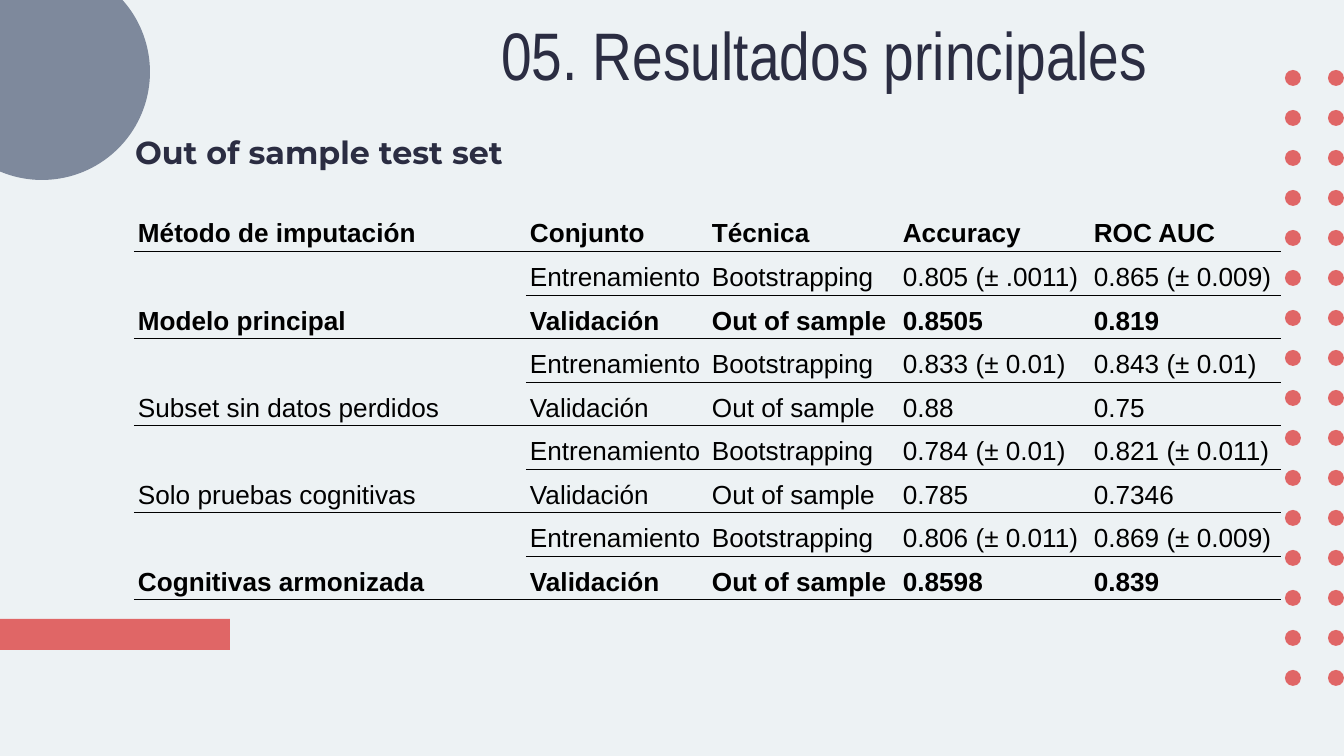
from lxml.etree import SubElement
from pptx import Presentation
from pptx.dml.color import RGBColor
from pptx.enum.shapes import MSO_SHAPE
from pptx.enum.text import MSO_ANCHOR
from pptx.oxml.ns import qn
from pptx.util import Pt

SCALE = 914400 / 134.4
PAPER = RGBColor(0xED, 0xF2, 0xF4)
CORAL = RGBColor(0xE0, 0x66, 0x66)
SLATE = RGBColor(0x7E, 0x89, 0x9C)
NAVY = RGBColor(0x2B, 0x2D, 0x42)
BLACK = RGBColor(0, 0, 0)

TITLE = "05. Resultados principales"
SUBTITLE = "Out of sample test set"
HEADERS = ["Método de imputación", "Conjunto", "Técnica", "Accuracy", "ROC AUC"]
STAGES = [("Entrenamiento", "Bootstrapping"), ("Validación", "Out of sample")]
METHODS = [
    ("Modelo principal", True,
     [("0.805 (± .0011)", "0.865 (± 0.009)"), ("0.8505", "0.819")]),
    ("Subset sin datos perdidos", False,
     [("0.833 (± 0.01)", "0.843 (± 0.01)"), ("0.88", "0.75")]),
    ("Solo pruebas cognitivas", False,
     [("0.784 (± 0.01)", "0.821 (± 0.011)"), ("0.785", "0.7346")]),
    ("Cognitivas armonizada", True,
     [("0.806 (± 0.011)", "0.869 (± 0.009)"), ("0.8598", "0.839")]),
]
COLUMN_WIDTHS = [392, 182, 191, 191, 191]
TABLE_LEFT, TABLE_TOP, TABLE_HEIGHT = 134, 208, 392
DOT_COLUMNS, DOT_ROWS = 2, 16
DOT_LEFT, DOT_TOP, DOT_SIZE = 1285, 70, 16
DOT_STEP_X, DOT_STEP_Y = 43, 40


def px(*lengths):
    return [round(length * SCALE) for length in lengths]


def add_figure(page, kind, area, color):
    figure = page.shapes.add_shape(kind, *px(*area))
    figure.shadow.inherit = False
    figure.fill.solid()
    figure.fill.fore_color.rgb = color
    figure.line.fill.background()


def write(paragraph, text, font, size, color, bold, spacing):
    paragraph.text = text
    paragraph.line_spacing = spacing
    paragraph.font.name = font
    paragraph.font.size = Pt(size)
    paragraph.font.color.rgb = color
    paragraph.font.bold = bold


def add_text(page, area, *style):
    box = page.shapes.add_textbox(*px(*area))
    frame = box.text_frame
    frame.word_wrap = True
    frame.margin_left, frame.margin_top, frame.margin_right, frame.margin_bottom = px(13, 13, 13, 13)
    write(frame.paragraphs[0], *style)


def set_borders(cell, top, bottom):
    properties = cell._tc.get_or_add_tcPr()
    sides = [("a:lnL", 0), ("a:lnR", 0), ("a:lnT", top), ("a:lnB", bottom)]
    for position, (side, points) in enumerate(sides):
        line = SubElement(properties, qn(side))
        properties.insert(position, line)
        if points:
            line.set("w", str(Pt(points)))
            fill = SubElement(line, qn("a:solidFill"))
            SubElement(fill, qn("a:srgbClr")).set("val", str(BLACK))
        else:
            SubElement(line, qn("a:noFill"))


def add_results(page):
    rows = [[(header, True) for header in HEADERS]]
    for method, best, scores in METHODS:
        for index, (stage, score) in enumerate(zip(STAGES, scores)):
            name = method if index == 0 else ""
            values = [(value, best and index == 1) for value in stage + score]
            rows.append([(name, best)] + values)

    area = px(TABLE_LEFT, TABLE_TOP, sum(COLUMN_WIDTHS), TABLE_HEIGHT)
    table = page.shapes.add_table(len(rows), len(HEADERS), *area).table
    table.first_row = table.horz_banding = False
    for column, width in zip(table.columns, px(*COLUMN_WIDTHS)):
        column.width = width
    for top_row in range(1, len(rows), 2):
        table.cell(top_row, 0).merge(table.cell(top_row + 1, 0))

    for row, values in enumerate(rows):
        for column, (text, bold) in enumerate(values):
            cell = table.cell(row, column)
            cell.fill.background()
            cell.vertical_anchor = MSO_ANCHOR.BOTTOM
            cell.margin_left, cell.margin_right, cell.margin_top, cell.margin_bottom = px(4, 4, 3, 3)
            top = 0 if row == 0 else 1.1 if row == 1 else 0.55
            set_borders(cell, top, 1.1 if row == 0 else 0.55)
            if text:
                write(cell.text_frame.paragraphs[0], text, "Arial", 14, BLACK, bold, 1.15)


def main():
    deck = Presentation()
    deck.slide_width, deck.slide_height = px(1344, 756)
    page = deck.slides.add_slide(deck.slide_layouts[6])
    page.background.fill.solid()
    page.background.fill.fore_color.rgb = PAPER

    add_figure(page, MSO_SHAPE.RECTANGLE, (0, 619, 230, 31), CORAL)
    add_figure(page, MSO_SHAPE.OVAL, (-66, -36, 216, 216), SLATE)
    for column in range(DOT_COLUMNS):
        for row in range(DOT_ROWS):
            left = DOT_LEFT + column * DOT_STEP_X
            top = DOT_TOP + row * DOT_STEP_Y
            add_figure(page, MSO_SHAPE.OVAL, (left, top, DOT_SIZE, DOT_SIZE), CORAL)

    add_text(page, (488, 0, 798, 91), TITLE, "Arial Narrow", 36, NAVY, False, 1.0)
    add_results(page)
    add_text(page, (122, 101, 517, 85), SUBTITLE, "Montserrat", 17, NAVY, True, 1.5)
    deck.save("out.pptx")


if __name__ == "__main__":
    main()
